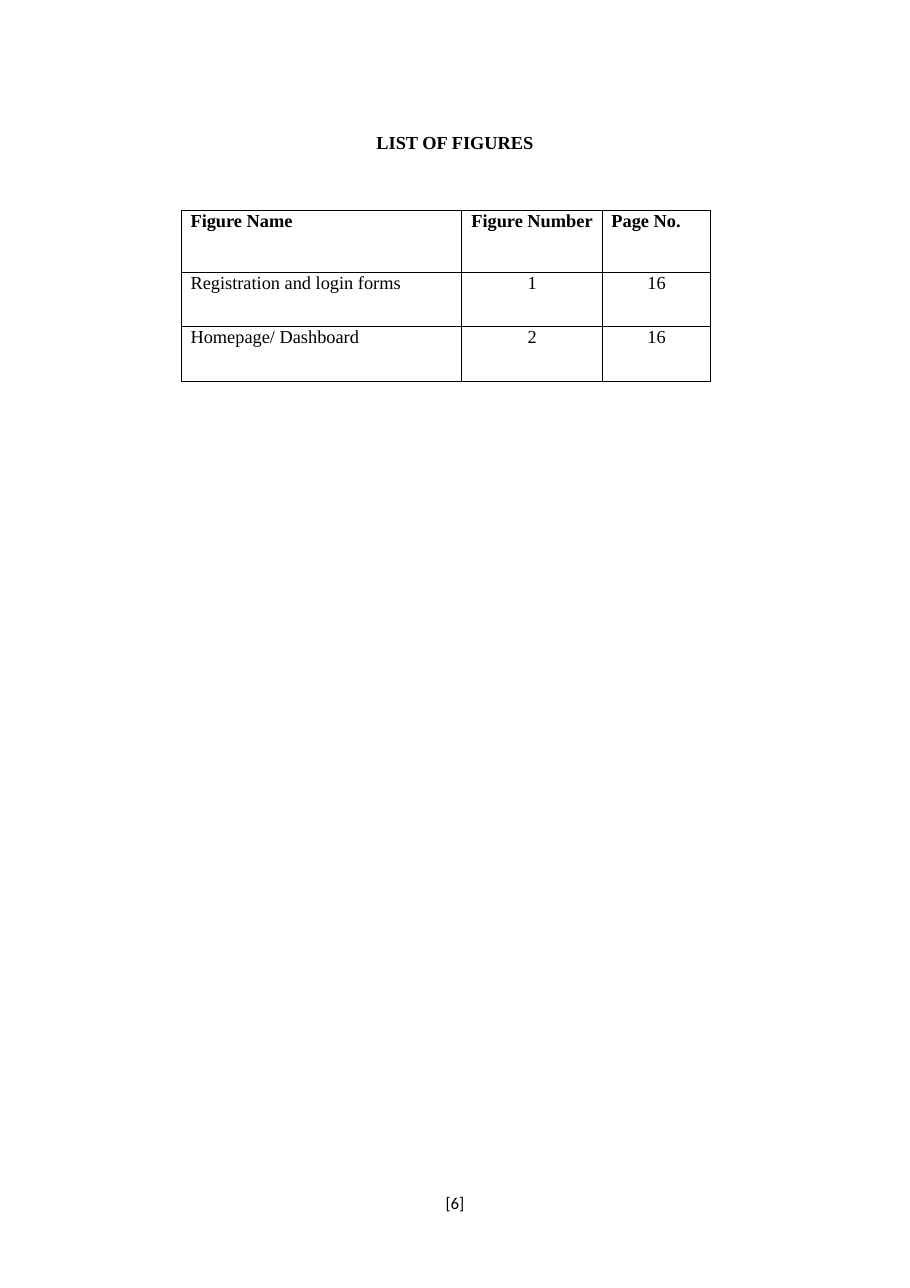
"""Build the list-of-figures page with its table and page number."""
from lxml.etree import SubElement
from pptx import Presentation
from pptx.dml.color import RGBColor
from pptx.enum.text import MSO_ANCHOR, MSO_AUTO_SIZE, PP_ALIGN
from pptx.oxml.ns import qn
from pptx.util import Inches, Pt

HEADING = "LIST OF FIGURES"
FIGURES = [
    ("Figure Name", "Figure Number", "Page No."),
    ("Registration and login forms", "1", "16"),
    ("Homepage/ Dashboard", "2", "16"),
]
PAGE_NUMBER = "[6]"

COLORS = {"ink": "000000", "paper": "FFFFFF"}
PAGE_WIDTH, PAGE_HEIGHT = 8.26, 11.69
TABLE_LEFT, TABLE_TOP = 1.65, 1.91
COLUMN_WIDTHS = [2.54, 1.28, 0.98]
ROW_HEIGHTS = [0.56, 0.49, 0.5]
CELL_INDENT = 0.08
BORDER_WIDTH = Pt(0.5)


def write(frame, text, font_name, size, bold=False, align=PP_ALIGN.CENTER, leading=None):
    frame.text = text
    paragraph = frame.paragraphs[0]
    paragraph.alignment = align
    if leading:
        paragraph.line_spacing = Pt(leading)
    font = paragraph.font
    font.name, font.size, font.bold = font_name, Pt(size), bold
    font.color.rgb = RGBColor.from_string(COLORS["ink"])


def place_line(line, top, height):
    line.left, line.top = 0, Inches(top)
    line.width, line.height = Inches(PAGE_WIDTH), Inches(height)
    frame = line.text_frame
    frame.margin_left = frame.margin_right = frame.margin_top = frame.margin_bottom = 0
    frame.word_wrap = True
    frame.auto_size = MSO_AUTO_SIZE.NONE
    frame.vertical_anchor = MSO_ANCHOR.TOP
    return frame


def outline(cell):
    properties = cell._tc.get_or_add_tcPr()
    for position, side in enumerate(("a:lnL", "a:lnR", "a:lnT", "a:lnB")):
        border = SubElement(properties, qn(side), w=str(BORDER_WIDTH))
        properties.insert(position, border)
        ink = SubElement(border, qn("a:solidFill"))
        SubElement(ink, qn("a:srgbClr"), val=COLORS["ink"])


def add_figure_table(slide):
    table = slide.shapes.add_table(
        len(FIGURES), len(COLUMN_WIDTHS), Inches(TABLE_LEFT), Inches(TABLE_TOP),
        Inches(sum(COLUMN_WIDTHS)), Inches(sum(ROW_HEIGHTS))).table
    table.first_row = table.horz_banding = False
    for column, width in zip(table.columns, COLUMN_WIDTHS):
        column.width = Inches(width)
    for row, height in zip(table.rows, ROW_HEIGHTS):
        row.height = Inches(height)
    for row, entry in enumerate(FIGURES):
        for column, text in enumerate(entry):
            is_header = row == 0
            is_left = column == 0 or (is_header and column == 2)
            cell = table.cell(row, column)
            cell.margin_right = cell.margin_top = cell.margin_bottom = 0
            cell.margin_left = Inches(CELL_INDENT) if is_left else 0
            cell.fill.solid()
            cell.fill.fore_color.rgb = RGBColor.from_string(COLORS["paper"])
            align = PP_ALIGN.LEFT if is_left else PP_ALIGN.CENTER
            write(cell.text_frame, text, "Times New Roman", 12, is_header, align, 13.8)
            outline(cell)


def main():
    deck = Presentation()
    deck.slide_width, deck.slide_height = Inches(PAGE_WIDTH), Inches(PAGE_HEIGHT)
    slide = deck.slides.add_slide(deck.slide_layouts[5])
    heading = place_line(slide.shapes.title, 1.19, 0.21)
    write(heading, HEADING, "Times New Roman", 12, bold=True)
    add_figure_table(slide)
    footer = place_line(slide.shapes.add_textbox(0, 0, 0, 0), 10.85, 0.18)
    write(footer, PAGE_NUMBER, "Calibri", 11, leading=11.5)
    deck.save("out.pptx")


if __name__ == "__main__":
    main()
